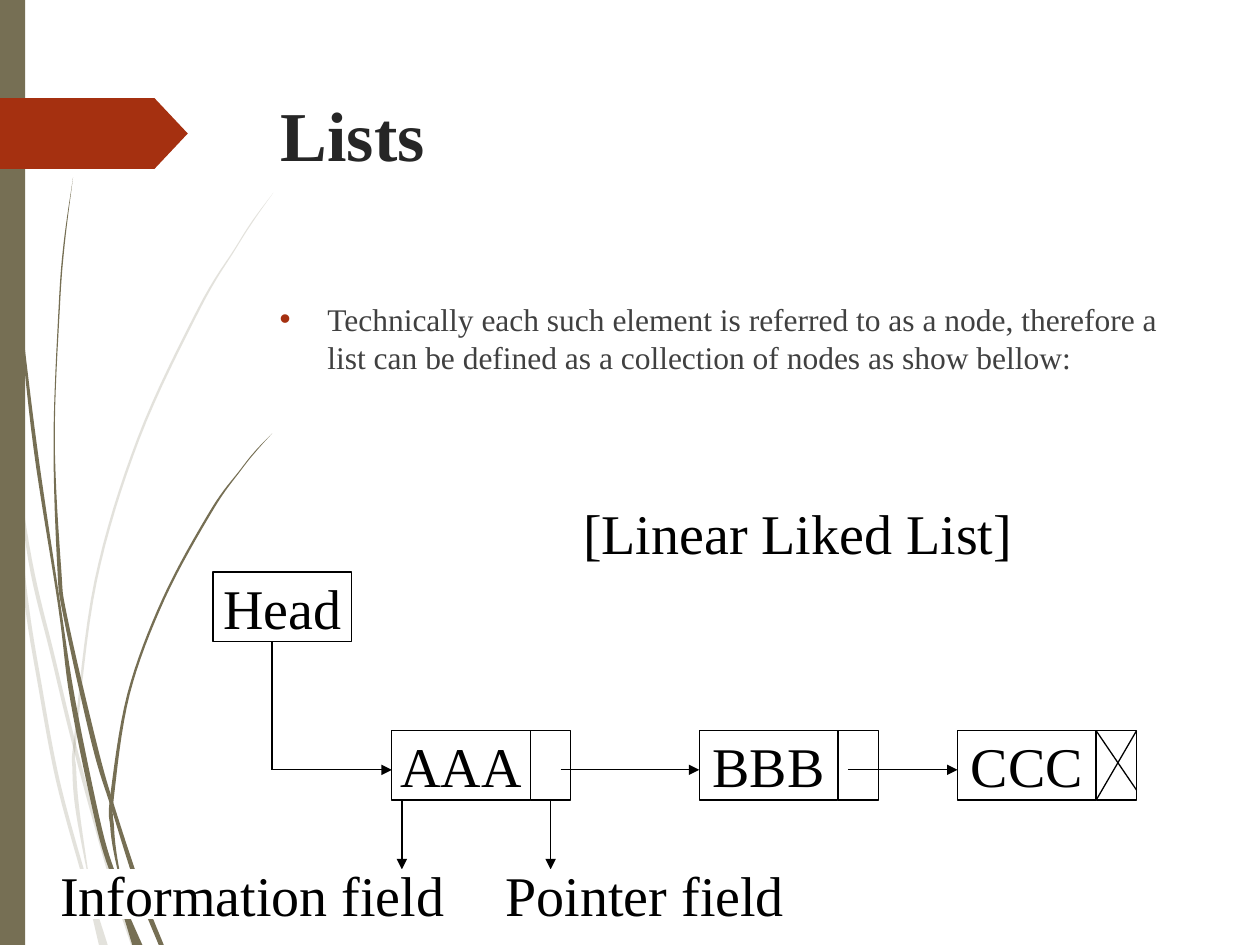
from lxml import etree
from pptx import Presentation
from pptx.dml.color import RGBColor
from pptx.enum.shapes import MSO_CONNECTOR, MSO_SHAPE
from pptx.enum.text import MSO_ANCHOR, PP_ALIGN
from pptx.oxml.ns import qn
from pptx.util import Cm, Pt

RECT, PENTAGON = MSO_SHAPE.RECTANGLE, MSO_SHAPE.PENTAGON
STRAIGHT = MSO_CONNECTOR.STRAIGHT
TOP, MIDDLE = MSO_ANCHOR.TOP, MSO_ANCHOR.MIDDLE
LEFT, CENTER = PP_ALIGN.LEFT, PP_ALIGN.CENTER

COLORS = {"olive": "766F54", "rust": "A53010", "title": "262626",
          "body": "404040", "black": "000000", "white": "FFFFFF"}
FONT = "Times New Roman"
THIN = Pt(0.74)
NODE_W, POINTER_W, NODE_H = 1.1, 0.32, 0.55

# Grass blades: centre x, y and width at each knot, in inches
PALE_BLADES = [
    [(0.1, 3.45, 0), (0.24, 4.45, .03), (0.42, 5.21, .03), (0.6, 5.95, .03),
     (0.87, 6.93, .03), (1.06, 7.5, .04)],
    [(0.1, 3.6, .02), (0.2, 4.7, .03), (0.32, 5.46, .03), (0.46, 6.2, .03),
     (0.65, 6.9, .03), (0.72, 7.14, .04), (0.82, 7.5, .07)],
    [(2.17, 1.53, 0), (2.01, 1.75, .01), (1.87, 1.97, .01), (1.58, 2.45, .02),
     (1.1, 3.48, .02), (0.76, 4.61, .02), (0.6, 5.84, .02), (0.59, 6.1, .03),
     (0.62, 6.46, .03), (0.73, 7.11, 0)],
]
DARK_BLADES = [
    [(0.14, 2.33, .01), (0.28, 3.55, .03), (0.47, 4.8, .02), (0.58, 5.57, .04),
     (0.79, 6.58, .04), (0.92, 7, .04), (0.98, 7.2, .04), (1.09, 7.5, .08)],
    [(0.58, 1.41, 0), (0.51, 1.93, .01), (0.47, 2.45, .01), (0.43, 3.49, .01),
     (0.47, 4.5, .03), (0.52, 4.9, .03), (0.75, 5.91, .04), (0.9, 6.42, .03),
     (1.11, 7.07, .04), (1.28, 7.5, .04)],
    [(2.16, 3.44, 0), (2.03, 3.58, .01), (1.91, 3.73, .01), (1.68, 4.05, .02),
     (1.3, 4.75, .02), (1.02, 5.51, .02), (0.89, 6.32, .03), (0.89, 6.56, .03),
     (0.92, 6.8, .02), (1, 7.18, 0)],
]


def inch(value):
    return Cm(value * 2.54)


def paint(shape, fill, line=None):
    shape.shadow.inherit = False
    shape.fill.solid()
    shape.fill.fore_color.rgb = RGBColor.from_string(COLORS[fill])
    if line is None:
        shape.line.fill.background()
    else:
        shape.line.color.rgb = RGBColor.from_string(COLORS[line])
        shape.line.width = THIN


def write(shape, text, size, color="black", align=LEFT, anchor=TOP, wrap=True, bold=False):
    frame = shape.text_frame
    for name, value in {"word_wrap": wrap, "vertical_anchor": anchor}.items():
        setattr(frame, name, value)
    para = frame.paragraphs[0]
    para.alignment = align
    span = para.add_run()
    span.text = text
    for name, value in {"name": FONT, "size": Pt(size), "bold": bold}.items():
        setattr(span.font, name, value)
    span.font.color.rgb = RGBColor.from_string(COLORS[color])
    return para


def add_box(page, left, top, width, height, fill="white", line=None, kind=RECT):
    box = page.shapes.add_shape(kind, *map(inch, (left, top, width, height)))
    paint(box, fill, line)
    return box


def add_label(page, left, top, width, height, text, line="white"):
    box = add_box(page, left, top, width, height, "white", line)
    write(box, text, 32, align=CENTER, anchor=MIDDLE, wrap=False)


def add_text(page, left, top, width, height, text, size, **look):
    box = page.shapes.add_textbox(*map(inch, (left, top, width, height)))
    return write(box, text, size, **look)


def add_line(page, x1, y1, x2, y2, arrow=False):
    line = page.shapes.add_connector(STRAIGHT, *map(inch, (x1, y1, x2, y2)))
    line.line.color.rgb = RGBColor.from_string(COLORS["black"])
    line.line.width = THIN
    if arrow:
        etree.SubElement(line.line._get_or_add_ln(), qn("a:tailEnd"), type="triangle")
    etree.SubElement(line._element.spPr, qn("a:effectLst"))


def smooth(knots, steps=8):
    """Catmull-Rom curve through the knots."""
    padded = [knots[0], *knots, knots[-1]]
    curve = []
    for a, b, c, d in zip(padded, padded[1:], padded[2:], padded[3:]):
        for step in range(steps):
            t = step / steps
            curve.append([
                (2 * q + (r - p) * t + (2 * p - 5 * q + 4 * r - s) * t**2
                 + (3 * q - p - 3 * r + s) * t**3) / 2
                for p, q, r, s in zip(a, b, c, d)])
    return curve + [knots[-1]]


def add_blade(page, left, top, knots, alpha=None):
    curve = smooth(knots)
    outline = [(x - w / 2, y) for x, y, w in curve]
    outline += [(x + w / 2, y) for x, y, w in reversed(curve)]
    points = [(inch(left + x), inch(top + y)) for x, y in outline]
    builder = page.shapes.build_freeform(*points[0])
    builder.add_line_segments(points[1:])
    blade = builder.convert_to_shape()
    paint(blade, "olive")
    if alpha:
        tint = blade._element.spPr.find(qn("a:solidFill"))[0]
        etree.SubElement(tint, qn("a:alpha"), val=str(alpha * 1000))


def add_decoration(page, left, top, height):
    for knots in PALE_BLADES:
        add_blade(page, left, top, knots, alpha=20)
    for knots in DARK_BLADES:
        add_blade(page, left, top, knots)
    add_box(page, left, top, 0.2, height, "olive")
    flag = add_box(page, left, top + 0.78, 1.49, 0.56, "rust", kind=PENTAGON)
    flag.adjustments[0] = 0.47


def add_bullet(page, left, top, width, height, text):
    para = add_text(page, left, top, width, height, text, 18, color="body")
    para.space_before = Pt(10)
    props = para._p.get_or_add_pPr()
    props.set("marL", str(inch(0.38)))
    props.set("indent", str(-inch(0.38)))
    color = etree.SubElement(props, qn("a:buClr"))
    etree.SubElement(color, qn("a:srgbClr"), val=COLORS["rust"])
    etree.SubElement(props, qn("a:buFont"), typeface="Arial")
    etree.SubElement(props, qn("a:buChar"), char="•")


def add_linked_list(page, left, top):
    row = top + 1.26
    bottom, link = row + NODE_H, row + 0.31
    nodes = {"AAA": left + 1.42, "BBB": left + 3.86, "CCC": left + 5.91}
    first, second, last = nodes.values()

    # Head and nodes
    add_label(page, left, top, NODE_W, NODE_H, "Head", "black")
    for text, x in nodes.items():
        add_label(page, x, row, NODE_W, NODE_H, text, "black")
        add_box(page, x + NODE_W, row, POINTER_W, NODE_H, "white", "black")

    # Empty pointer of the last node
    near, far = last + NODE_W, last + NODE_W + POINTER_W
    add_line(page, near, row, far, row + 0.47)
    add_line(page, far, row, near, bottom)

    # Links
    stem = left + 0.47
    add_line(page, stem, top + NODE_H, stem, link)
    for start, end in ((stem, first), (first + 1.34, second), (second + 1.18, last)):
        add_line(page, start, link, end, link, arrow=True)

    # Field captions
    for text, x, width, pointer in (("Information field", left - 1.1, 2.83, first + 0.08),
                                    ("Pointer field", left + 2.29, 2.28, first + 1.26)):
        add_line(page, pointer, bottom, pointer, bottom + 0.55, arrow=True)
        add_label(page, x, bottom + 0.55, width, 0.39, text)

    add_text(page, left + 2.84, top - 0.63, 3.94, 0.64, "[Linear Liked List]", 32)


deck = Presentation()
deck.slide_width, deck.slide_height = Cm(25.4), Cm(19.05)
page = deck.slides.add_slide(deck.slide_layouts[6])

add_decoration(page, 0, 0, 7.5)
add_text(page, 2.13, 0.68, 7.21, 1.4, "Lists", 40, color="title", bold=True)
add_bullet(page, 2.12, 2.33, 7.21, 4.13,
           "Technically each such element is referred to as a node, therefore a list "
           "can be defined as a collection of nodes as show bellow:")
add_linked_list(page, 1.69, 4.54)

deck.save("out.pptx")
